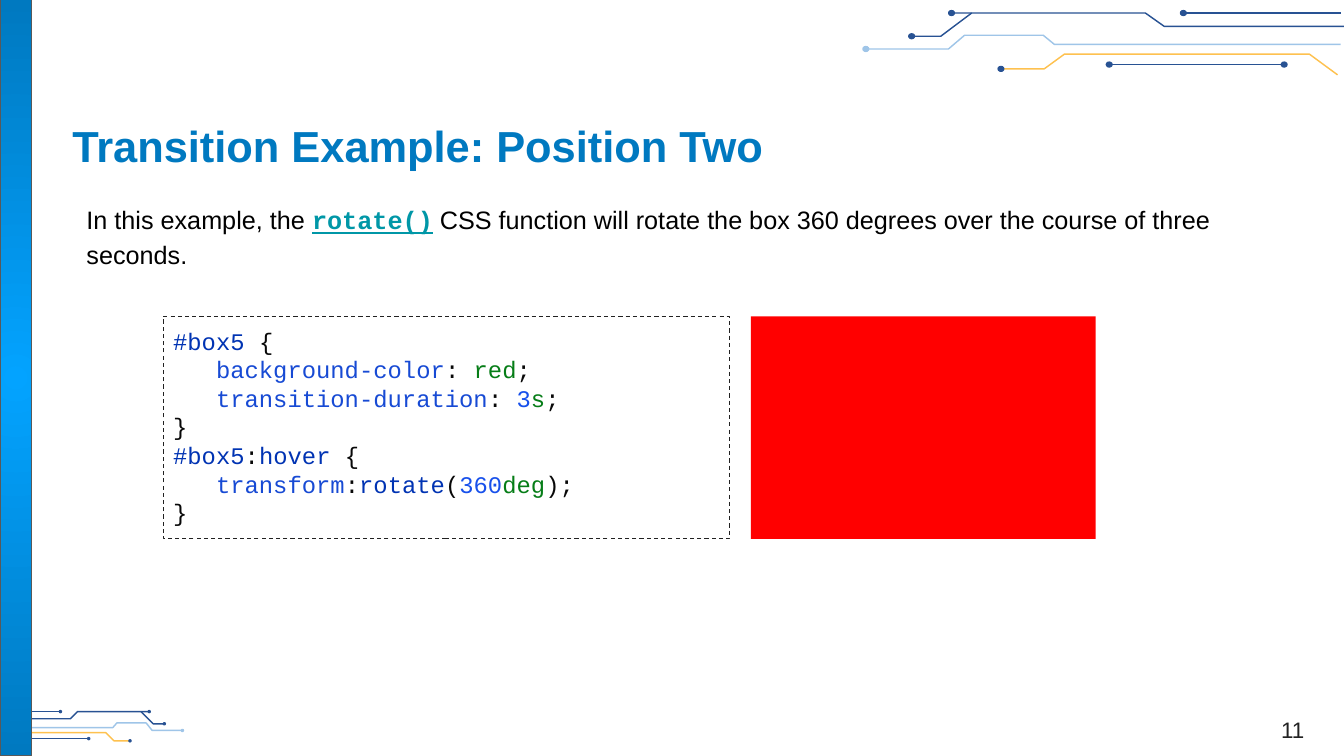
"""Build the rotate() transition example slide with its circuit-trace decoration."""
from dataclasses import dataclass

from lxml.etree import SubElement
from pptx import Presentation
from pptx.dml.color import RGBColor as Rgb
from pptx.enum.dml import MSO_LINE
from pptx.enum.shapes import MSO_CONNECTOR as Connector, MSO_SHAPE as Shape
from pptx.enum.text import MSO_ANCHOR as Anchor, PP_ALIGN as Align
from pptx.oxml import parse_xml
from pptx.oxml.ns import nsdecls, qn
from pptx.util import Pt


@dataclass(frozen=True)
class Theme:
    sans: str = "Arial"
    mono: str = "Courier New"
    title_size: float = 31
    body_size: float = 18
    code_size: float = 17
    number_size: float = 16
    code_pitch: float = 20.4
    trace_width: float = 1.03
    hairline: float = 0.75
    title: str = "0079C0"
    glow: str = "03A3FF"
    bar_edge: str = "595959"
    body: str = "000000"
    link: str = "0097A7"
    number: str = "222222"
    code_edge: str = "212121"
    demo: str = "FF0000"
    navy: str = "285293"
    sky: str = "9FC5E8"
    gold: str = "FEC14F"
    selector: str = "0033B3"
    mark: str = "080808"
    prop: str = "174AD4"
    value: str = "067D17"
    digit: str = "1750EB"


THEME = Theme()
SLIDE_SIZE = (960, 540)
TITLE = "Transition Example: Position Two"
PAGE_NUMBER = "11"
BODY = [
    ("In this example, the ", False),
    ("rotate()", True),
    (" CSS function will rotate the box 360 degrees over the course of three seconds.", False),
]
CODE = [
    (0, [("#box5 ", "selector"), ("{", "mark")]),
    (1, [("background-color", "prop"), (": ", "mark"), ("red", "value"), (";", "mark")]),
    (1, [("transition-duration", "prop"), (": ", "mark"), ("3", "digit"), ("s", "value"), (";", "mark")]),
    (0, [("}", "mark")]),
    (0, [("#box5", "selector"), (":", "mark"), ("hover ", "selector"), ("{", "mark")]),
    (1, [("transform", "prop"), (":", "mark"), ("rotate", "selector"), ("(", "mark"),
         ("360", "digit"), ("deg", "value"), (");", "mark")]),
    (0, [("}", "mark")]),
]
BAR = (0, 0, 22.6, 540)
CODE_BOX = (116.6, 226.1, 404.3, 158.9)
DEMO_BOX = (536.4, 226.1, 246.2, 158.9)
TITLE_BOX = (44.6, 76.3, 852.5, 55.4)
NUMBER_BOX = (892.8, 491.8, 61.2, 42.5)
BODY_BOX = (54.7, 135.4, 859.7, 90.7)

BOTTOM_DOT, TOP_DOT = (1.7, 1.7), (4.3, 3.7)
BOTTOM_TRACES = [
    ("navy", 1, [(2.9, 513.4), (50.4, 513.4), (55.4, 508.3), (106.6, 508.3)]),
    ("navy", 1, [(100.8, 508.3), (109.4, 517), (117.4, 517)]),
    ("navy", 1, [(0, 508.3), (43.2, 508.3)]),
    ("gold", 1, [(0.7, 531.4), (8.6, 523.4), (75.6, 523.4), (81.4, 529.2), (92.9, 529.2)]),
    ("navy", 2, [(15.1, 527.6), (63.4, 527.6)]),
    ("sky", 1, [(5.8, 519.8), (80.6, 519.8), (83.5, 516.4), (104.4, 516.4), (108.7, 521.8), (130.3, 521.8)]),
]
TOP_TRACES = [
    ("navy", 1, [(960, 18.8), (831.6, 18.8), (818.2, 9.3), (679.7, 9.3)]),
    ("navy", 1, [(694.1, 9.3), (672, 25.9), (651.2, 25.9)]),
    ("navy", 1, [(957.6, 9.3), (845.3, 9.3)]),
    ("gold", 1, [(955.4, 53.5), (935.3, 38.7), (760.3, 38.7), (745.9, 49.2), (715, 49.2)]),
    ("navy", 2, [(917.3, 46.1), (792.3, 46.1)]),
    ("sky", 1, [(957.6, 31.7), (753.1, 31.7), (745.2, 25.2), (689, 25.2), (677.5, 35), (618.5, 35)]),
]


def points(values):
    return [Pt(value) for value in values]


def rgb(name):
    return Rgb.from_string(getattr(THEME, name))


def paint(shape, fill, line, width=THEME.hairline):
    shape.shadow.inherit = False
    if fill:
        shape.fill.solid()
        shape.fill.fore_color.rgb = rgb(fill)
    else:
        shape.fill.background()
    if line:
        shape.line.color.rgb = rgb(line)
        shape.line.width = Pt(width)
    else:
        shape.line.fill.background()


def add_trace(shapes, color, dot_count, route, dot_size):
    if len(route) == 2:
        trace = shapes.add_connector(Connector.STRAIGHT, *points(route[0] + route[1]))
        SubElement(trace.element.spPr, qn("a:effectLst"))
        trace.line.color.rgb = rgb(color)
        trace.line.width = Pt(THEME.trace_width)
    else:
        builder = shapes.build_freeform(*points(route[0]))
        builder.add_line_segments([points(stop) for stop in route[1:]], close=False)
        paint(builder.convert_to_shape(), None, color, THEME.trace_width)
    dot_color = "sky" if color == "sky" else "navy"
    width, height = dot_size
    for x, y in route[::-1][:dot_count]:
        dot = shapes.add_shape(Shape.OVAL, *points((x - width / 2, y - height / 2, width, height)))
        paint(dot, dot_color, dot_color)


def add_bar(shapes):
    bar = shapes.add_shape(Shape.RECTANGLE, *points(BAR))
    paint(bar, "title", "bar_edge")
    solid = bar.element.spPr.find(qn("a:solidFill"))
    solid.getparent().replace(solid, parse_xml(
        f'<a:gradFill {nsdecls("a")}><a:gsLst>'
        f'<a:gs pos="0"><a:srgbClr val="{THEME.glow}"/></a:gs>'
        f'<a:gs pos="100000"><a:srgbClr val="{THEME.title}"/></a:gs></a:gsLst>'
        '<a:path path="circle"><a:fillToRect l="50000" t="50000" r="50000" b="50000"/></a:path>'
        '</a:gradFill>'))


def set_frame(shape, anchor, vertical_margin=7.2):
    frame = shape.text_frame
    frame.word_wrap = True
    frame.vertical_anchor = anchor
    frame.margin_left = frame.margin_right = Pt(7.2)
    frame.margin_top = frame.margin_bottom = Pt(vertical_margin)
    return frame


def set_font(font, name, size, color, bold=False):
    font.name, font.size, font.bold = name, Pt(size), bold
    font.color.rgb = rgb(color)


def add_line_text(shapes, area, text, anchor, margin, align, *style):
    frame = set_frame(shapes.add_textbox(*points(area)), anchor, margin)
    para = frame.paragraphs[0]
    para.text, para.alignment = text, align
    set_font(para.font, *style)


def add_code(shapes):
    box = shapes.add_shape(Shape.RECTANGLE, *points(CODE_BOX))
    paint(box, None, "code_edge")
    box.line.dash_style = MSO_LINE.DASH
    frame = set_frame(box, Anchor.TOP)
    indent = 3 * 0.6 * THEME.code_size
    for index, (level, spans) in enumerate(CODE):
        para = frame.add_paragraph() if index else frame.paragraphs[0]
        para.alignment = Align.LEFT
        para.line_spacing = Pt(THEME.code_pitch)
        para.font.name, para.font.size = THEME.mono, Pt(THEME.code_size)
        para._p.get_or_add_pPr().set("marL", str(Pt(level * indent)))
        for text, color in spans:
            span = para.add_run()
            span.text = text
            span.font.color.rgb = rgb(color)


def add_body(shapes):
    para = set_frame(shapes.add_textbox(*points(BODY_BOX)), Anchor.TOP).paragraphs[0]
    para.line_spacing, para.space_after = 1.15, Pt(10)
    for text, is_code in BODY:
        span = para.add_run()
        span.text = text
        name, color = (THEME.mono, "link") if is_code else (THEME.sans, "body")
        set_font(span.font, name, THEME.body_size, color, is_code)
        span.font.underline = is_code


def main():
    deck = Presentation()
    deck.slide_width, deck.slide_height = points(SLIDE_SIZE)
    shapes = deck.slides.add_slide(deck.slide_layouts[6]).shapes
    for traces, dot_size in ((BOTTOM_TRACES, BOTTOM_DOT), (TOP_TRACES, TOP_DOT)):
        for trace in traces:
            add_trace(shapes, *trace, dot_size)
    add_bar(shapes)
    paint(shapes.add_shape(Shape.RECTANGLE, *points(DEMO_BOX)), "demo", None)
    add_line_text(shapes, TITLE_BOX, TITLE, Anchor.MIDDLE, 7.2, Align.LEFT,
                  THEME.sans, THEME.title_size, "title", True)
    add_line_text(shapes, NUMBER_BOX, PAGE_NUMBER, Anchor.BOTTOM, 3.6, Align.CENTER,
                  THEME.sans, THEME.number_size, "number")
    add_code(shapes)
    add_body(shapes)
    deck.save("out.pptx")


if __name__ == "__main__":
    main()
